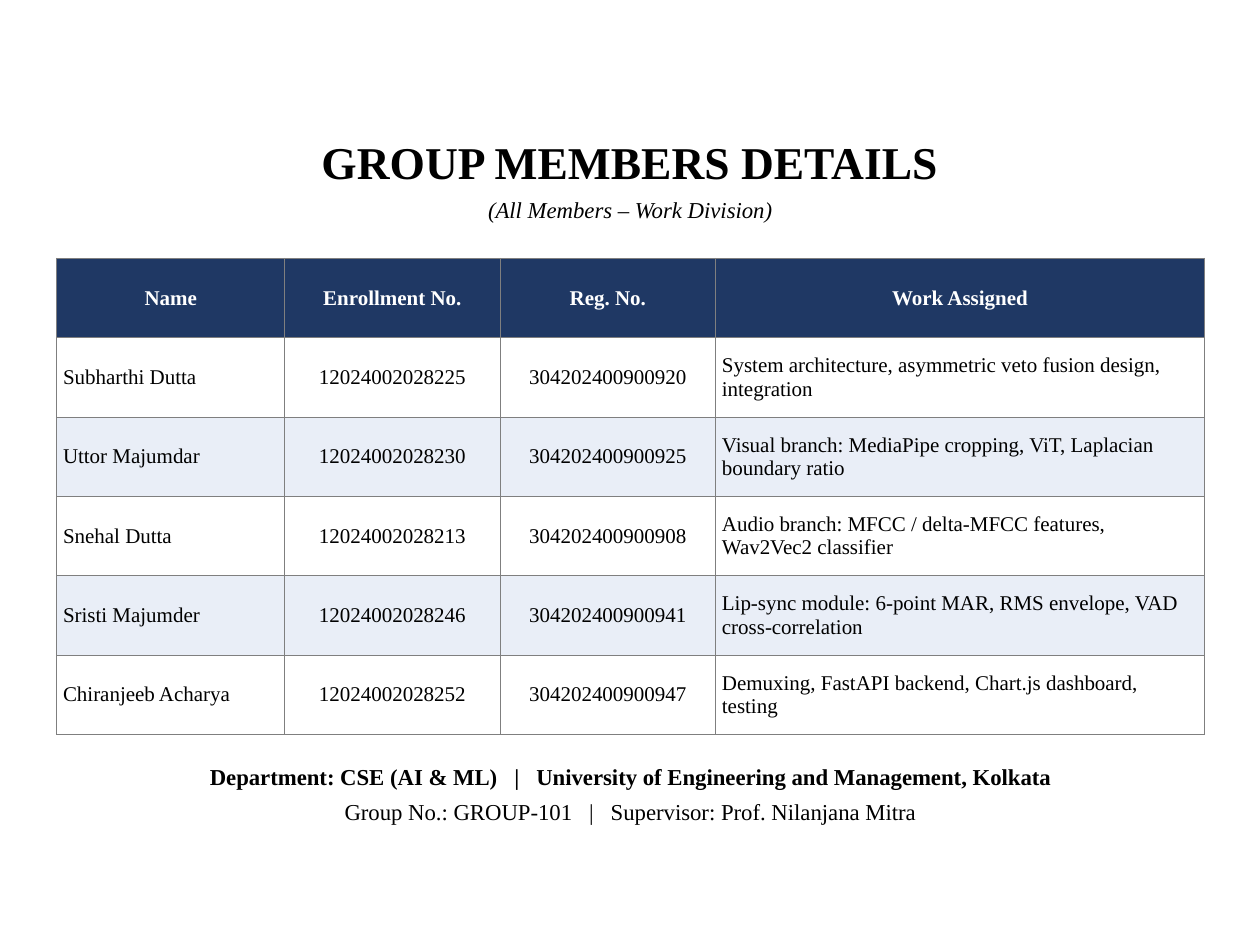
from lxml.etree import fromstring
from pptx import Presentation
from pptx.dml.color import RGBColor
from pptx.enum.text import MSO_ANCHOR as Anchor, MSO_AUTO_SIZE as Fit, PP_ALIGN as Align
from pptx.oxml.ns import nsdecls
from pptx.util import Pt

SCALE = 9144
FONT = "Times New Roman"
COLORS = {"ink": "000000", "head": "1F3864", "white": "FFFFFF", "band": "E9EEF7", "rule": "7F7F7F"}
WIDTHS = (181, 171, 171, 388)
ROW = 63
HEADS = ("Name", "Enrollment No.", "Reg. No.", "Work Assigned")
MEMBERS = (
    ("Subharthi Dutta", "12024002028225", "304202400900920",
     "System architecture, asymmetric veto fusion design, integration"),
    ("Uttor Majumdar", "12024002028230", "304202400900925",
     "Visual branch: MediaPipe cropping, ViT, Laplacian boundary ratio"),
    ("Snehal Dutta", "12024002028213", "304202400900908",
     "Audio branch: MFCC / delta-MFCC features, Wav2Vec2 classifier"),
    ("Sristi Majumder", "12024002028246", "304202400900941",
     "Lip-sync module: 6-point MAR, RMS envelope, VAD cross-correlation"),
    ("Chiranjeeb Acharya", "12024002028252", "304202400900947",
     "Demuxing, FastAPI backend, Chart.js dashboard, testing"),
)


def px(num):
    """Turn px, 100 to the inch, into EMU."""
    return num * SCALE


def color(name):
    """Look up a named colour."""
    return RGBColor.from_string(COLORS[name])


def style(para, size, tint="ink", bold=False, italic=False, align=Align.CENTER):
    """Format one paragraph."""
    para.alignment = align
    font = para.font
    font.name, font.size = FONT, Pt(size)
    font.bold, font.italic = bold, italic
    font.color.rgb = color(tint)


def inset(item, side, end):
    """Set the margins of a cell or text frame."""
    item.margin_left = item.margin_right = px(side)
    item.margin_top = item.margin_bottom = px(end)


def add_title(slide, text, box):
    """Place and format the title."""
    title = slide.shapes.title
    title.left, title.top, title.width, title.height = map(px, box)
    frame = title.text_frame
    frame.text = text
    frame.word_wrap, frame.auto_size = True, Fit.NONE
    frame.vertical_anchor = Anchor.TOP
    inset(frame, 10, 5)
    para = frame.paragraphs[0]
    style(para, 26, bold=True)
    para.line_spacing = 1.08
    para.space_before = Pt(0)


def add_text(slide, box, lines):
    """Add centred lines, each with its space after and font options."""
    frame = slide.shapes.add_textbox(*map(px, box)).text_frame
    frame.word_wrap = True
    inset(frame, 6, 4)
    frame.text = "\n".join(text for text, _, _ in lines)
    for para, (_, after, opts) in zip(frame.paragraphs, lines):
        style(para, 13, **opts)
        para.line_spacing = 1.08
        para.space_after = Pt(after)


def add_rules(cell):
    """Draw a thin line on all four sides of a cell."""
    props = cell._tc.get_or_add_tcPr()
    for spot, side in enumerate("LRTB"):
        props.insert(spot, fromstring(
            f'<a:ln{side} {nsdecls("a")} w="{Pt(0.5)}"><a:solidFill>'
            f'<a:srgbClr val="{COLORS["rule"]}"/></a:solidFill></a:ln{side}>'))


def fill_cell(cell, text, fill, **opts):
    """Write and format one table cell."""
    cell.text = text
    cell.vertical_anchor = Anchor.MIDDLE
    inset(cell, 5, 3)
    cell.fill.solid()
    cell.fill.fore_color.rgb = color(fill)
    style(cell.text_frame.paragraphs[0], 12, **opts)
    add_rules(cell)


def add_members(slide, left, top):
    """Add the table of members and their work."""
    rows = len(MEMBERS) + 1
    table = slide.shapes.add_table(
        rows, len(HEADS), px(left), px(top), px(sum(WIDTHS)), px(ROW * rows)).table
    for col, width in zip(table.columns, WIDTHS):
        col.width = px(width)
    for col, text in enumerate(HEADS):
        fill_cell(table.cell(0, col), text, "head", tint="white", bold=True)
    for row, member in enumerate(MEMBERS, 1):
        fill = "white" if row % 2 else "band"
        for col, text in enumerate(member):
            align = Align.CENTER if col in (1, 2) else Align.LEFT
            fill_cell(table.cell(row, col), text, fill, align=align)


def main():
    """Build and save the slide."""
    deck = Presentation()
    deck.slide_width, deck.slide_height = px(1000), px(750)
    slide = deck.slides.add_slide(deck.slide_layouts[5])
    add_title(slide, "GROUP MEMBERS DETAILS", (80, 98, 840, 55))
    add_text(slide, (80, 150, 840, 40),
             [("(All Members – Work Division)", 4, {"italic": True})])
    add_members(slide, 45, 205)
    add_text(slide, (45, 600, 910, 90), [
        ("Department: CSE (AI & ML)   |   University of Engineering and Management, Kolkata",
         3, {"bold": True}),
        ("Group No.: GROUP-101   |   Supervisor: Prof. Nilanjana Mitra", 4, {}),
    ])
    deck.save("out.pptx")


if __name__ == "__main__":
    main()
